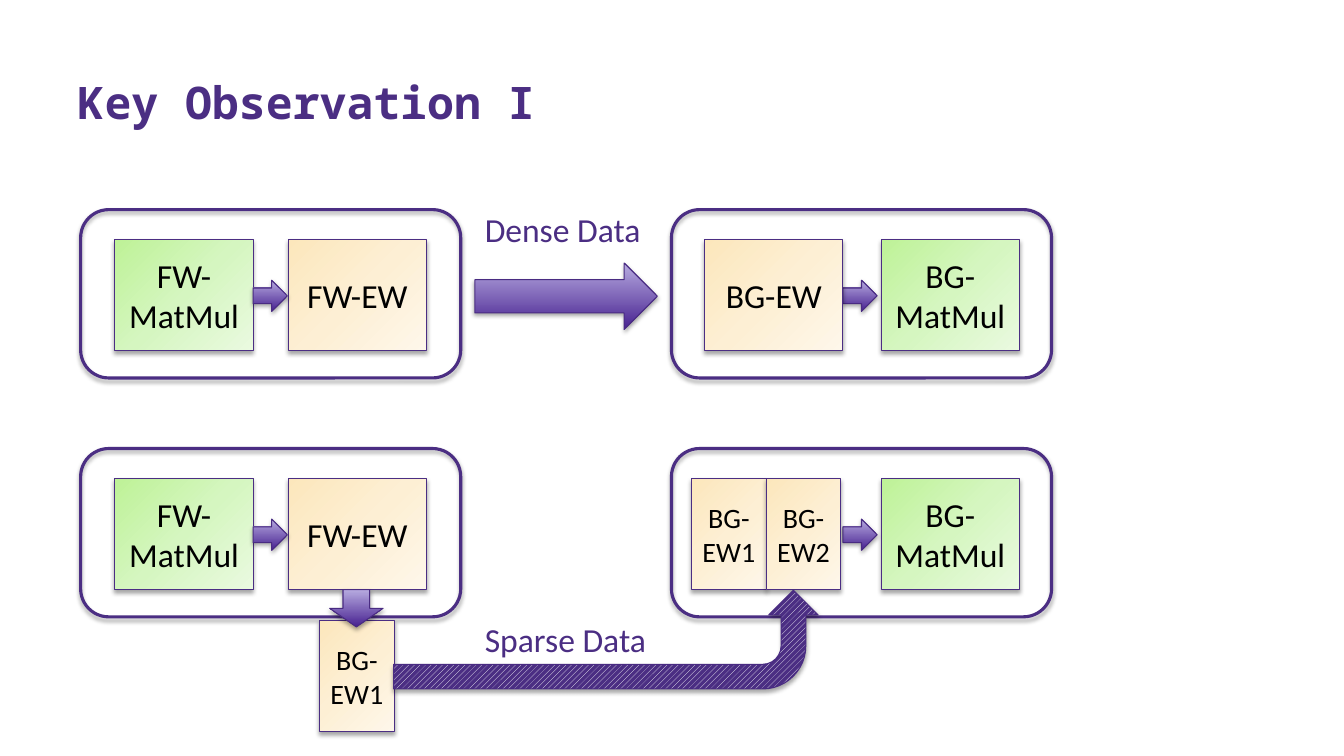
from copy import deepcopy
from dataclasses import dataclass

from lxml.etree import SubElement
from pptx import Presentation
from pptx.dml.color import RGBColor
from pptx.enum.dml import MSO_PATTERN
from pptx.enum.shapes import MSO_SHAPE as Shape
from pptx.enum.text import MSO_ANCHOR as Anchor, MSO_AUTO_SIZE as AutoSize, PP_ALIGN as Align
from pptx.oxml.ns import qn
from pptx.util import Inches, Pt


@dataclass(frozen=True)
class Theme:
    purple: str = "4B2E83"
    outline: str = "492B82"
    black: str = "000000"
    white: str = "FFFFFF"
    green: tuple = ("BEF297", "D5F6C0", "EAFAE0")
    orange: tuple = ("FCE7BC", "FDEFD4", "FEF7EA")
    violet: tuple = ("472190", "B7ABE0")
    title_font: str = "Noto Sans Mono"
    body_font: str = "Calibri"
    title_size: int = 32
    body_size: int = 24
    small_size: int = 20


THEME = Theme()
BOX_WIDTH, HALF_WIDTH, BOX_HEIGHT = 1.37, 0.74, 1.1
FRAME_WIDTH, FRAME_HEIGHT, FRAME_PAD = 3.77, 1.67, 0.3
STEP_WIDTH, STEP_HEIGHT = 0.34, 0.31
FORWARD_LEFT, BACKWARD_LEFT = 0.8, 6.66
DENSE_TOP, SPARSE_TOP = 2.08, 4.45


def color(value):
    return RGBColor.from_string(value)


# Text and effects
def write(holder, text, size=THEME.body_size, font=THEME.body_font,
          ink=THEME.black, bold=False, align=Align.CENTER, anchor=Anchor.MIDDLE, wrap=True):
    frame = holder.text_frame
    frame.word_wrap = wrap
    frame.auto_size = AutoSize.NONE if wrap else AutoSize.SHAPE_TO_FIT_TEXT
    frame.vertical_anchor = anchor
    para = frame.paragraphs[0]
    para.alignment = align
    span = para.add_run()
    span.text = text
    span.font.name, span.font.size, span.font.bold = font, Pt(size), bold
    span.font.color.rgb = color(ink)


def add_shadow(shape):
    shape.shadow.inherit = False
    effects = shape._element.spPr.find(qn("a:effectLst"))
    outer = SubElement(effects, qn("a:outerShdw"), blurRad="40000", dist="23000",
                       dir="5400000", rotWithShape="0")
    ink = SubElement(outer, qn("a:srgbClr"), val=THEME.black)
    SubElement(ink, qn("a:alpha"), val="35000")


def fill_gradient(shape, colors, angle):
    shape.fill.gradient()
    stop_list = shape._element.spPr.find(qn("a:gradFill")).find(qn("a:gsLst"))
    while len(stop_list) < len(colors):
        stop_list.append(deepcopy(stop_list[-1]))
    for index, (stop, value) in enumerate(zip(shape.fill.gradient_stops, colors)):
        stop.color.rgb = color(value)
        stop.position = index / (len(colors) - 1)
    shape.fill.gradient_angle = angle


# Diagram elements
def add_outlined(page, kind, left, top, width, height, line=THEME.outline, weight=0.75):
    shape = page.shapes.add_shape(kind, Inches(left), Inches(top), Inches(width), Inches(height))
    shape.line.color.rgb = color(line)
    shape.line.width = Pt(weight)
    add_shadow(shape)
    return shape


def add_box(page, text, left, top, colors, width=BOX_WIDTH, size=THEME.body_size):
    box = add_outlined(page, Shape.RECTANGLE, left, top, width, BOX_HEIGHT, line=THEME.purple)
    fill_gradient(box, colors, 315)
    write(box, text, size=size)


def add_half_box(page, text, left, top):
    add_box(page, text, left, top, THEME.orange, HALF_WIDTH, THEME.small_size)


def add_arrow(page, left, top, width, height, kind=Shape.RIGHT_ARROW):
    arrow = add_outlined(page, kind, left, top, width, height)
    fill_gradient(arrow, THEME.violet, 90)


def add_frame(page, left, top):
    frame = add_outlined(page, Shape.ROUNDED_RECTANGLE, left, top, FRAME_WIDTH, FRAME_HEIGHT,
                         line=THEME.purple, weight=2.25)
    frame.fill.background()


def add_label(page, text, left, top, width):
    label = page.shapes.add_textbox(Inches(left), Inches(top), Inches(width), Inches(0.5))
    write(label, text, ink=THEME.purple, align=Align.LEFT, anchor=Anchor.TOP, wrap=False)


def add_bent_arrow(page, left, top, width, height):
    arrow = add_outlined(page, Shape.BENT_ARROW, left, top, width, height)
    arrow.fill.patterned()
    arrow.fill.pattern = MSO_PATTERN.WIDE_UPWARD_DIAGONAL
    arrow.fill.fore_color.rgb = color(THEME.white)
    arrow.fill.back_color.rgb = color(THEME.purple)
    arrow._element.spPr.find(qn("a:xfrm")).set("flipH", "1")
    arrow.rotation = 90


# Stages
def add_step(page, left, frame_top):
    add_arrow(page, left, frame_top + 0.7, STEP_WIDTH, STEP_HEIGHT)


def add_forward_stage(page, top):
    box_top = top + FRAME_PAD
    add_box(page, "FW-MatMul", 1.14, box_top, THEME.green)
    add_box(page, "FW-EW", 2.86, box_top, THEME.orange)
    add_step(page, 2.51, top)
    add_frame(page, FORWARD_LEFT, top)


def add_backward_stage(page, top):
    add_frame(page, BACKWARD_LEFT, top)
    add_box(page, "BG-MatMul", 8.74, top + FRAME_PAD, THEME.green)
    add_step(page, 8.36, top)


def main():
    deck = Presentation()
    deck.slide_width, deck.slide_height = Inches(13.33), Inches(7.5)
    page = deck.slides.add_slide(deck.slide_layouts[5])

    # Title
    title = page.shapes.title
    title.left, title.top = Inches(0.67), Inches(0.55)
    title.width, title.height = Inches(11.93), Inches(0.77)
    write(title, "Key Observation I", size=THEME.title_size, font=THEME.title_font,
          ink=THEME.purple, bold=True, align=Align.LEFT, anchor=Anchor.BOTTOM)

    # Both rows
    for top in (DENSE_TOP, SPARSE_TOP):
        add_forward_stage(page, top)
        add_backward_stage(page, top)

    # Dense row
    add_box(page, "BG-EW", 6.99, DENSE_TOP + FRAME_PAD, THEME.orange)
    add_arrow(page, 4.71, 2.61, 1.81, 0.66)
    add_label(page, "Dense Data", 4.71, 2.02, 1.76)

    # Sparse row
    for index, text in enumerate(("BG-EW1", "BG-EW2")):
        add_half_box(page, text, 6.86 + index * HALF_WIDTH, SPARSE_TOP + FRAME_PAD)
    add_half_box(page, "BG-EW1", 3.17, 6.16)
    add_arrow(page, 3.27, 5.85, 0.53, 0.37, Shape.DOWN_ARROW)
    add_bent_arrow(page, 5.52, 4.24, 0.98, 4.21)
    add_label(page, "Sparse Data", 4.71, 6.09, 1.82)

    deck.save("out.pptx")


if __name__ == "__main__":
    main()
